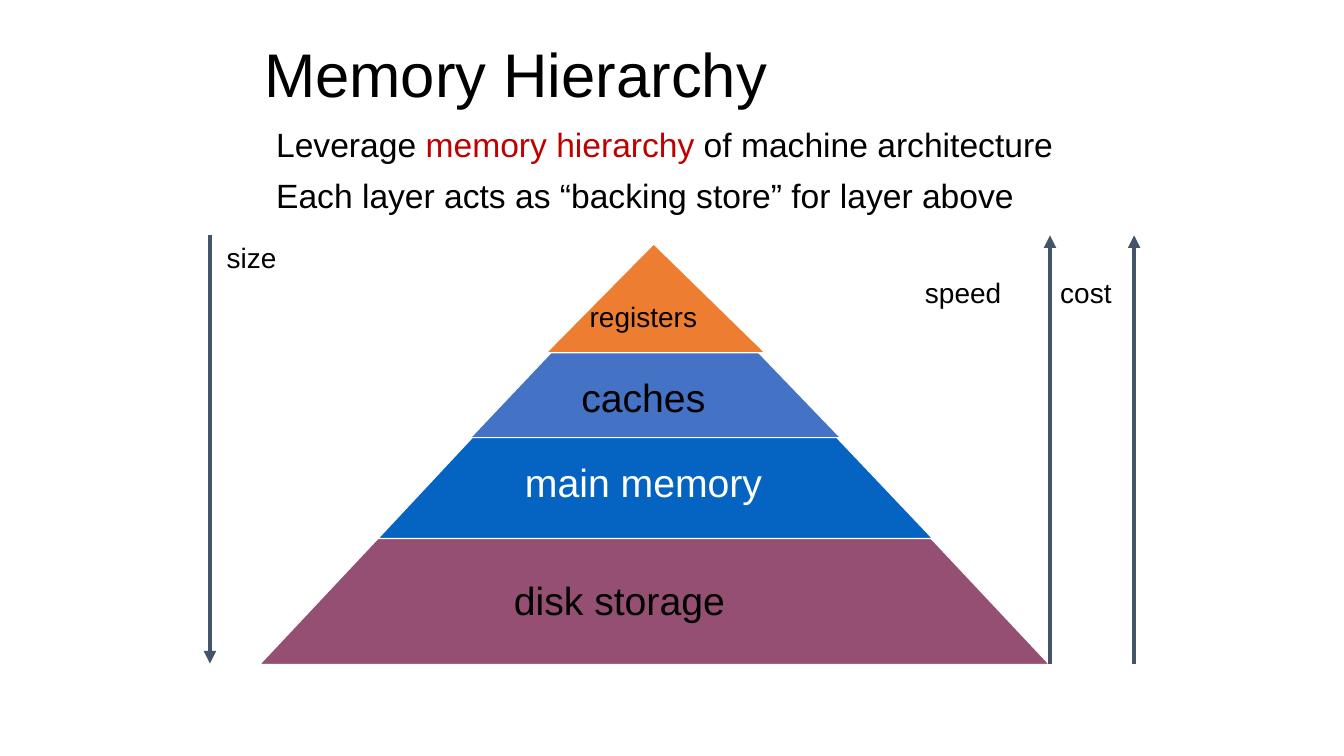
"""Build the Memory Hierarchy slide: a layered pyramid with size, speed and cost arrows."""
from lxml import etree
from pptx import Presentation
from pptx import util as u
from pptx.dml.color import RGBColor
from pptx.enum import shapes, text
from pptx.oxml.ns import qn

BLACK = RGBColor(0x00, 0x00, 0x00)
WHITE = RGBColor(0xFF, 0xFF, 0xFF)
RED = RGBColor(0xC0, 0x00, 0x00)
PLUM = RGBColor(0x95, 0x4F, 0x72)
DEEP_BLUE = RGBColor(0x05, 0x63, 0xC1)
BLUE = RGBColor(0x44, 0x72, 0xC4)
ORANGE = RGBColor(0xED, 0x7D, 0x31)
SLATE = RGBColor(0x44, 0x54, 0x6A)


def add_run(paragraph, words, size, color):
    run = paragraph.add_run()
    run.text = words
    for name, value in {"name": "Arial", "size": u.Pt(size)}.items():
        setattr(run.font, name, value)
    run.font.color.rgb = color


def add_text_box(slide, left, top, width, height):
    box = slide.shapes.add_textbox(u.Cm(left), u.Cm(top), u.Cm(width), u.Cm(height))
    box.text_frame.word_wrap = True
    return box.text_frame


presentation = Presentation()
presentation.slide_width = u.Cm(33.87)
presentation.slide_height = u.Cm(19.05)
slide = presentation.slides.add_slide(presentation.slide_layouts[5])

title = slide.shapes.title
title_place = {"left": 6.4, "top": 0.18, "width": 21.06, "height": 3.56}
for name, value in title_place.items():
    setattr(title, name, u.Cm(value))
title.text_frame.vertical_anchor = text.MSO_ANCHOR.MIDDLE
title.text_frame.auto_size = text.MSO_AUTO_SIZE.NONE
heading = title.text_frame.paragraphs[0]
heading.alignment = text.PP_ALIGN.LEFT
heading.line_spacing = 0.9
add_run(heading, "Memory Hierarchy", 44, BLACK)

body = add_text_box(slide, 6.71, 3.12, 25.55, 3.1)
statements = [
    [("Leverage ", BLACK), ("memory hierarchy ", RED), ("of machine architecture", BLACK)],
    [("Each layer acts as “backing store” for layer above", BLACK)],
]
for index, statement in enumerate(statements):
    paragraph = body.add_paragraph() if index else body.paragraphs[0]
    paragraph.line_spacing = 0.9
    paragraph.space_before = u.Pt(10 if index else 0)
    for words, color in statement:
        add_run(paragraph, words, 24, color)

PYRAMID_TOP = 6.15
layers = [
    (6.55, 19.89, 10.59, 0.5, PLUM),
    (9.53, 13.97, 7.42, 0.496, DEEP_BLUE),
    (11.86, 9.32, 4.88, 0.496, BLUE),
    (13.77, 5.51, 2.74, 0.491, ORANGE),
]
for left, width, height, apex, color in layers:
    layer = slide.shapes.add_shape(
        shapes.MSO_SHAPE.ISOSCELES_TRIANGLE,
        u.Cm(left), u.Cm(PYRAMID_TOP), u.Cm(width), u.Cm(height))
    layer.adjustments[0] = apex
    layer.shadow.inherit = False
    layer.fill.solid()
    layer.fill.fore_color.rgb = color
    layer.line.color.rgb = WHITE
    layer.line.width = u.Pt(0.75)

labels = [
    ("disk storage", 12.7, 14.4, 7.77, 28, BLACK),
    ("main memory", 12.98, 11.43, 7.77, 28, WHITE),
    ("caches", 14.4, 9.27, 5.51, 28, BLACK),
    ("registers", 14.61, 7.42, 4.27, 20, BLACK),
    ("size", 5.46, 5.94, 3.35, 20, BLACK),
    ("speed", 23.06, 6.81, 3.2, 20, BLACK),
    ("cost", 26.47, 6.81, 2.51, 20, BLACK),
]
for words, left, top, width, size, color in labels:
    frame = add_text_box(slide, left, top, width, 1.45 if size == 28 else 1.12)
    add_run(frame.paragraphs[0], words, size, color)

ARROW_TOP, ARROW_BOTTOM = 5.93, 16.72
arrows = [
    (5.29, ARROW_TOP, ARROW_BOTTOM),
    (26.46, ARROW_BOTTOM, ARROW_TOP),
    (28.58, ARROW_BOTTOM, ARROW_TOP),
]
for x, start, end in arrows:
    arrow = slide.shapes.add_connector(
        shapes.MSO_CONNECTOR.STRAIGHT, u.Cm(x), u.Cm(start), u.Cm(x), u.Cm(end))
    arrow.line.color.rgb = SLATE
    arrow.line.width = u.Pt(3)
    properties = arrow.element.spPr
    etree.SubElement(properties.find(qn("a:ln")), qn("a:tailEnd"), type="triangle")
    etree.SubElement(properties, qn("a:effectLst"))

presentation.save("out.pptx")
